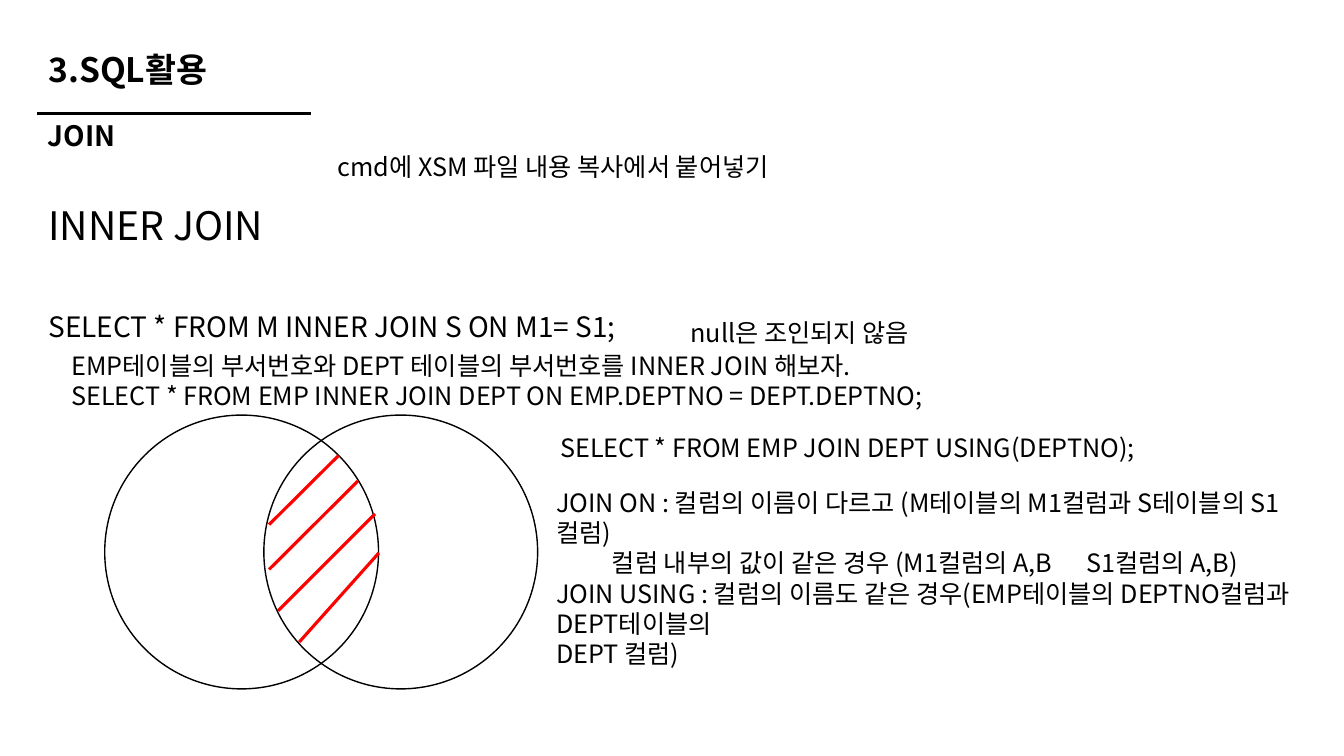
from pptx import Presentation
from pptx.dml.color import RGBColor
from pptx.enum.shapes import MSO_CONNECTOR, MSO_SHAPE
from pptx.enum.text import MSO_ANCHOR
from pptx.oxml.ns import qn
from pptx.util import Cm, Pt
from lxml.etree import SubElement

FONT = "Noto Sans CJK KR"
BLACK, RED = "000000", "FF0000"


def color(value):
    return RGBColor.from_string(value)


class SlideBuilder:
    def __init__(self, deck):
        self.page = deck.slides.add_slide(deck.slide_layouts[6])

    def text(self, left, top, width, height, lines, size=18, bold=False,
             spacing=None, anchor=MSO_ANCHOR.TOP, wrap=True):
        box = self.page.shapes.add_textbox(Cm(left), Cm(top), Cm(width), Cm(height))
        frame = box.text_frame
        frame.word_wrap = wrap
        frame.vertical_anchor = anchor
        for index, line in enumerate(lines):
            para = frame.paragraphs[0] if index == 0 else frame.add_paragraph()
            para.text = line
            if spacing:
                para.line_spacing = spacing
            self.style(para, size, bold)
        return frame.paragraphs

    def style(self, para, size, bold=False):
        font = para.font
        font.size, font.bold, font.name = Pt(size), bold, FONT
        font.color.rgb = color(BLACK)
        properties = para._p.get_or_add_pPr().find(qn("a:defRPr"))
        if properties.find(qn("a:ea")) is None:
            SubElement(properties, qn("a:ea"), typeface=FONT)

    def tabs(self, para, stops):
        tab_list = SubElement(para._p.get_or_add_pPr(), qn("a:tabLst"))
        # The schema places tab stops ahead of the default run properties.
        properties = para._p.pPr.find(qn("a:defRPr"))
        if properties is not None:
            properties.addprevious(tab_list)
        for stop in stops:
            SubElement(tab_list, qn("a:tab"), pos=str(Cm(stop)), algn="l")

    def line(self, start, end, line_color, shapes=None):
        shapes = shapes or self.page.shapes
        points = [Cm(value) for value in (*start, *end)]
        line = shapes.add_connector(MSO_CONNECTOR.STRAIGHT, *points)
        line.line.color.rgb = color(line_color)
        line.line.width = Pt(2.25)
        SubElement(line._element.spPr, qn("a:effectLst"))

    def circle(self, left, top, diameter, shapes):
        circle = shapes.add_shape(MSO_SHAPE.OVAL, Cm(left), Cm(top),
                                  Cm(diameter), Cm(diameter))
        circle.shadow.inherit = False
        circle.fill.background()
        circle.line.color.rgb = color(BLACK)
        circle.line.width = Pt(1)

    def venn(self, lefts, top, diameter, hatches):
        shapes = self.page.shapes.add_group_shape().shapes
        for left in lefts:
            self.circle(left, top, diameter, shapes)
        for start, end in hatches:
            self.line(start, end, RED, shapes)


def main():
    deck = Presentation()
    deck.slide_width, deck.slide_height = Cm(33.87), Cm(19.05)
    slide = SlideBuilder(deck)

    slide.text(0.97, 0.8, 11.05, 2, ["3.SQL활용"], 24, True, 0.9, MSO_ANCHOR.MIDDLE)
    body = slide.text(0.97, 5.08, 31.83, 13.41,
                      ["INNER JOIN", "SELECT * FROM M INNER JOIN S ON M1= S1;"],
                      28, spacing=0.9)
    slide.style(body[1], 20)
    body[1].space_before = Pt(46)
    slide.line((0.94, 2.85), (7.85, 2.85), BLACK)
    slide.text(0.95, 2.87, 6.58, 1.19, ["JOIN"], 20, True, 0.9, MSO_ANCHOR.MIDDLE)

    slide.venn((2.64, 6.65), 10.46, 6.9, [
        ((8.53, 11.48), (6.78, 13.22)),
        ((9.02, 12.12), (6.78, 14.35)),
        ((9.45, 12.95), (7.01, 15.39)),
        ((9.55, 13.93), (7.54, 16.18)),
    ])

    notes = [
        (17.15, 7.88, 6.6, 1.02, ["null은 조인되지 않음"]),
        (8.26, 3.68, 12.6, 1.02, ["cmd에 XSM 파일 내용 복사에서 붙어넣기"]),
        (1.55, 8.7, 22.6, 1.8, [
            "EMP테이블의 부서번호와 DEPT 테이블의 부서번호를 INNER JOIN 해보자.",
            "SELECT * FROM EMP INNER JOIN DEPT ON EMP.DEPTNO = DEPT.DEPTNO;"]),
        (13.87, 10.77, 15.5, 1.02, ["SELECT * FROM EMP JOIN DEPT USING(DEPTNO);"]),
    ]
    for note in notes:
        slide.text(*note, wrap=False)

    rules = slide.text(13.77, 12.15, 19.69, 4.88, [
        "JOIN ON : 컬럼의 이름이 다르고 (M테이블의 M1컬럼과 S테이블의 S1컬럼)",
        "\t컬럼 내부의 값이 같은 경우 (M1컬럼의 A,B\tS1컬럼의 A,B)",
        "JOIN USING : 컬럼의 이름도 같은 경우(EMP테이블의 DEPTNO컬럼과 DEPT테이블의",
        "DEPT 컬럼)"])
    slide.tabs(rules[1], (1.4, 13.36))

    deck.save("out.pptx")


if __name__ == "__main__":
    main()
